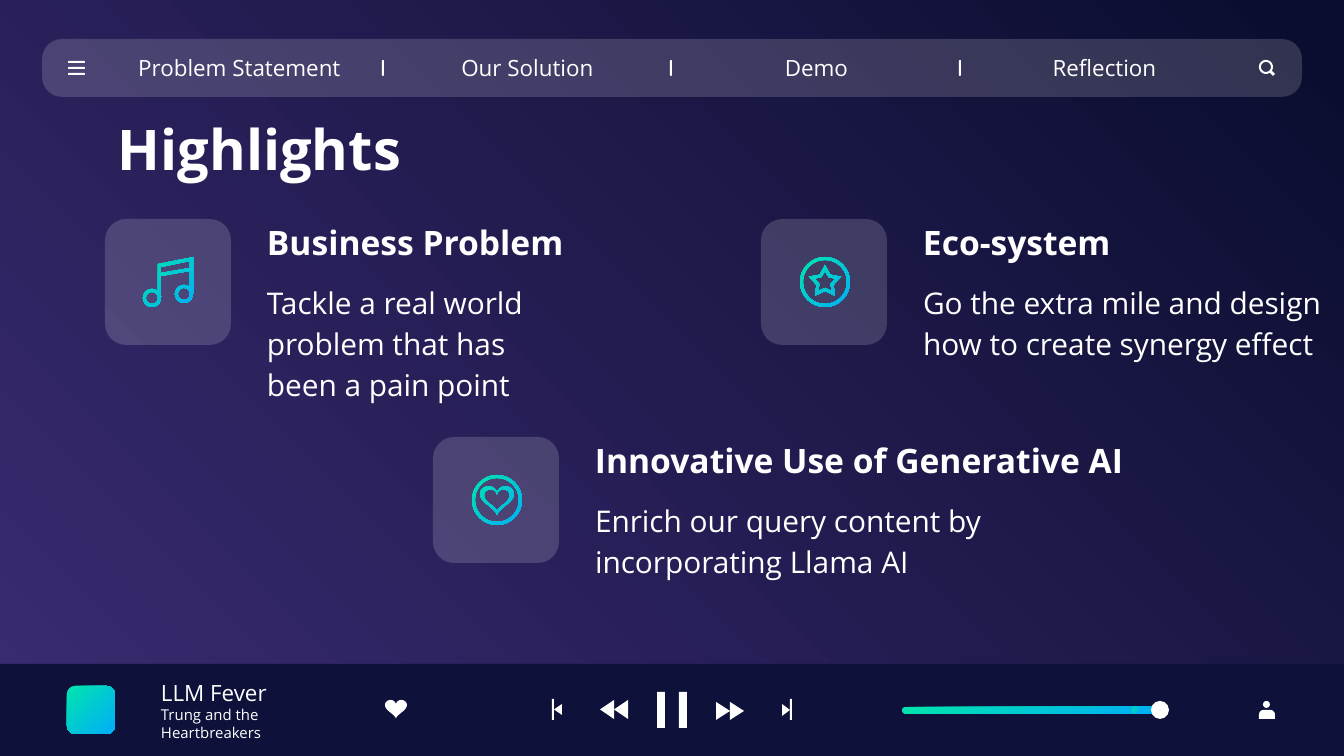
"""Build the Highlights slide, styled as a music player."""
from dataclasses import dataclass
from math import cos, pi, sin
from typing import Callable

from lxml.etree import SubElement
from pptx import Presentation
from pptx.dml.color import RGBColor
from pptx.enum.shapes import MSO_SHAPE
from pptx.enum.text import MSO_ANCHOR, PP_ALIGN
from pptx.oxml.ns import qn
from pptx.util import Pt

EMU_PER_PX = 914400 / 134.4
FONT = "Open Sans"
COLORS = {
    "white": "FFFFFF",
    "footer": "0E1139",
    "green": "00E4AE",
    "blue": "00AEF8",
    "violet": "3B2C72",
    "night": "090C2E",
}
Contour = list[tuple[float, float]]


@dataclass(frozen=True)
class Box:
    """A rectangle in px."""
    left: int
    top: int
    width: int
    height: int


@dataclass(frozen=True)
class Card:
    """A highlight with its icon tile, title and body."""
    left: int
    top: int
    title: str
    title_width: int
    body: str
    body_width: int
    icon: Callable[[int, int], list[Contour]]


@dataclass(frozen=True)
class Arrow:
    """A triangle of the player controls, pointing from base to tip."""
    base: int
    tip: int
    top: int
    bottom: int


def emu(px: float) -> int:
    """Turn px into EMU."""
    return round(px * EMU_PER_PX)


def place(box: Box) -> list[int]:
    """Turn a box into EMU lengths."""
    return [emu(px) for px in (box.left, box.top, box.width, box.height)]


def rgb(name: str) -> RGBColor:
    """Look up a colour by name."""
    return RGBColor.from_string(COLORS[name])


def blend(fill, first: str, last: str, angle: int) -> None:
    """Make a two-stop gradient at a counter-clockwise angle."""
    fill.gradient()
    fill.gradient_angle = angle
    for stop, name in zip(fill.gradient_stops, (first, last)):
        stop.color.rgb = rgb(name)


def paint(shape, color: str) -> None:
    """Fill a shape with a colour, "accent" gradient or "glass"."""
    shape.shadow.inherit = False
    shape.line.fill.background()
    if color == "accent":
        blend(shape.fill, "green", "blue", 315)
        return
    shape.fill.solid()
    shape.fill.fore_color.rgb = rgb("white" if color == "glass" else color)
    if color == "glass":
        node = shape.element.find(".//" + qn("a:srgbClr"))
        SubElement(node, qn("a:alpha"), val="16000")


def add_preset(page, box: Box, color: str, kind=MSO_SHAPE.RECTANGLE, round_by: float | None = None) -> None:
    """Draw a preset shape."""
    shape = page.shapes.add_shape(kind, *place(box))
    if round_by is not None:
        shape.adjustments[0] = round_by
    paint(shape, color)


def add_rounded(page, box: Box, color: str, round_by: float = 0.5) -> None:
    """Draw a rounded rectangle."""
    add_preset(page, box, color, MSO_SHAPE.ROUNDED_RECTANGLE, round_by)


def add_outline(page, contours: list[Contour], color: str) -> None:
    """Draw closed contours as one freeform, inner ones as holes."""
    scaled = [[(emu(x), emu(y)) for x, y in contour] for contour in contours]
    builder = page.shapes.build_freeform(*scaled[0][0], scale=1.0)
    builder.add_line_segments(scaled[0][1:], close=True)
    for contour in scaled[1:]:
        builder.move_to(*contour[0])
        builder.add_line_segments(contour[1:], close=True)
    paint(builder.convert_to_shape(), color)


def ring(x: int, y: int, radii: list[int]) -> Contour:
    """Give evenly turned points at the radii, from the top."""
    step = 2 * pi / len(radii)
    return [(x + r * sin(i * step), y - r * cos(i * step)) for i, r in enumerate(radii)]


def circle(x: int, y: int, radius: int) -> Contour:
    """Give a circle."""
    return ring(x, y, [radius] * 48)


def heart(x: int, y: int, half: int) -> Contour:
    """Give a heart of a half width."""
    turns = [i * pi / 24 for i in range(48)]
    return [(x + half * sin(t) ** 3,
             y - half / 17 * (13 * cos(t) - 5 * cos(2 * t) - 2 * cos(3 * t) - cos(4 * t) + 2))
            for t in turns]


def music_icon(x: int, y: int) -> list[Contour]:
    """Give two beamed notes."""
    beam = [(-11, -18), (25, -25), (25, 12), (21, 5), (21, -11), (-8, -6), (-8, 16), (-11, 10)]
    gap = [(-8, -15), (21, -21), (21, -14), (-8, -9)]
    notes = [[(x + dx, y + dy) for dx, dy in part] for part in (beam, gap)]
    heads = [circle(x + dx, y + dy, r) for dx, dy in ((-17, 16), (15, 12)) for r in (9, 6)]
    return notes + heads


def star_icon(x: int, y: int) -> list[Contour]:
    """Give a star in a circle."""
    return [circle(x, y, 25), circle(x, y, 22), ring(x, y, [17, 9] * 5), ring(x, y, [11, 6] * 5)]


def heart_icon(x: int, y: int) -> list[Contour]:
    """Give a heart in a circle."""
    return [circle(x, y, 25), circle(x, y, 22), heart(x, y, 17), heart(x, y, 13)]


def write(para, text: str, *, size: int, bold: bool = False, align=PP_ALIGN.LEFT, spacing: float = 1.0) -> None:
    """Write one formatted span into a paragraph."""
    para.alignment = align
    para.line_spacing = spacing
    span = para.add_run()
    span.text = text
    span.font.name = FONT
    span.font.size = Pt(size)
    span.font.bold = bold
    span.font.color.rgb = rgb("white")


def add_frame(page, box: Box, anchor=MSO_ANCHOR.MIDDLE):
    """Add a wrapping text box and give its frame."""
    frame = page.shapes.add_textbox(*place(box)).text_frame
    frame.word_wrap = True
    frame.vertical_anchor = anchor
    frame.margin_left = frame.margin_right = frame.margin_top = frame.margin_bottom = emu(13)
    return frame


def draw_navigation(page) -> None:
    """Draw the top bar with its labels and icons."""
    add_rounded(page, Box(42, 39, 1260, 58), "glass", 0.344)
    for i, label in enumerate(("Problem Statement", "Our Solution", "Demo", "Reflection")):
        shift = 577 * i // 2
        frame = add_frame(page, Box(105 + shift, 44, 269, 47))
        write(frame.paragraphs[0], label, size=12, align=PP_ALIGN.CENTER)
        if i < 3:
            add_rounded(page, Box(382 + shift, 60, 2, 16), "white")
            add_rounded(page, Box(68, 61 + 6 * i, 17, 2), "white")
    handle = [(1270, 73), (1272, 71), (1275, 74), (1273, 76)]
    add_outline(page, [circle(1266, 67, 7), circle(1266, 67, 5), handle], "white")


def draw_player(page) -> None:
    """Draw the player bar at the bottom."""
    add_preset(page, Box(0, 664, 1344, 92), "footer")
    add_rounded(page, Box(67, 686, 48, 48), "accent", 0.167)
    frame = add_frame(page, Box(148, 687, 203, 47))
    write(frame.paragraphs[0], "LLM Fever", size=12)
    write(frame.add_paragraph(), "Trung and the Heartbreakers", size=8)
    add_outline(page, [heart(396, 709, 11)], "white")
    for bar in (Box(657, 692, 8, 36), Box(679, 692, 8, 36), Box(552, 699, 2, 21), Box(790, 699, 2, 21)):
        add_preset(page, bar, "white")
    for arrow in (Arrow(562, 554, 704, 715), Arrow(614, 600, 700, 719), Arrow(628, 614, 700, 719),
                  Arrow(716, 730, 702, 720), Arrow(730, 744, 702, 720), Arrow(782, 790, 704, 716)):
        tip = (arrow.tip, (arrow.top + arrow.bottom) / 2)
        add_outline(page, [[(arrow.base, arrow.top), tip, (arrow.base, arrow.bottom)]], "white")
    for left, width, color in ((902, 267, "glass"), (902, 258, "accent"), (1132, 7, "accent")):
        add_rounded(page, Box(left, 707, width, 7), color)
    add_preset(page, Box(1151, 701, 18, 18), "white", MSO_SHAPE.OVAL)
    add_preset(page, Box(1263, 701, 7, 7), "white", MSO_SHAPE.OVAL)
    add_preset(page, Box(1259, 710, 16, 9), "white", MSO_SHAPE.ROUND_2_SAME_RECTANGLE, 0.5)


def draw_card(page, card: Card) -> None:
    """Draw one highlight."""
    add_rounded(page, Box(card.left, card.top, 126, 126), "glass", 0.167)
    add_outline(page, card.icon(card.left + 64, card.top + 63), "accent")
    left = card.left + 149
    title = add_frame(page, Box(left, card.top, card.title_width, 47))
    write(title.paragraphs[0], card.title, size=18, bold=True)
    body = add_frame(page, Box(left, card.top + 47, card.body_width, 120), MSO_ANCHOR.TOP)
    write(body.paragraphs[0], card.body, size=16, spacing=1.15)


def main() -> None:
    """Build and save the deck."""
    deck = Presentation()
    deck.slide_width, deck.slide_height = emu(1344), emu(756)
    page = deck.slides.add_slide(deck.slide_layouts[6])
    blend(page.background.fill, "violet", "night", 45)
    draw_player(page)
    draw_navigation(page)
    heading = add_frame(page, Box(105, 121, 1134, 55))
    write(heading.paragraphs[0], "Highlights", size=30, bold=True)
    for card in (
        Card(105, 219, "Business Problem", 329,
             "Tackle a real world problem that has been a pain point", 329, music_icon),
        Card(433, 437, "Innovative Use of Generative AI", 567,
             "Enrich our query content by incorporating Llama AI", 515, heart_icon),
        Card(761, 219, "Eco-system", 329,
             "Go the extra mile and design how to create synergy effect", 444, star_icon),
    ):
        draw_card(page, card)
    deck.save("out.pptx")


if __name__ == "__main__":
    main()
